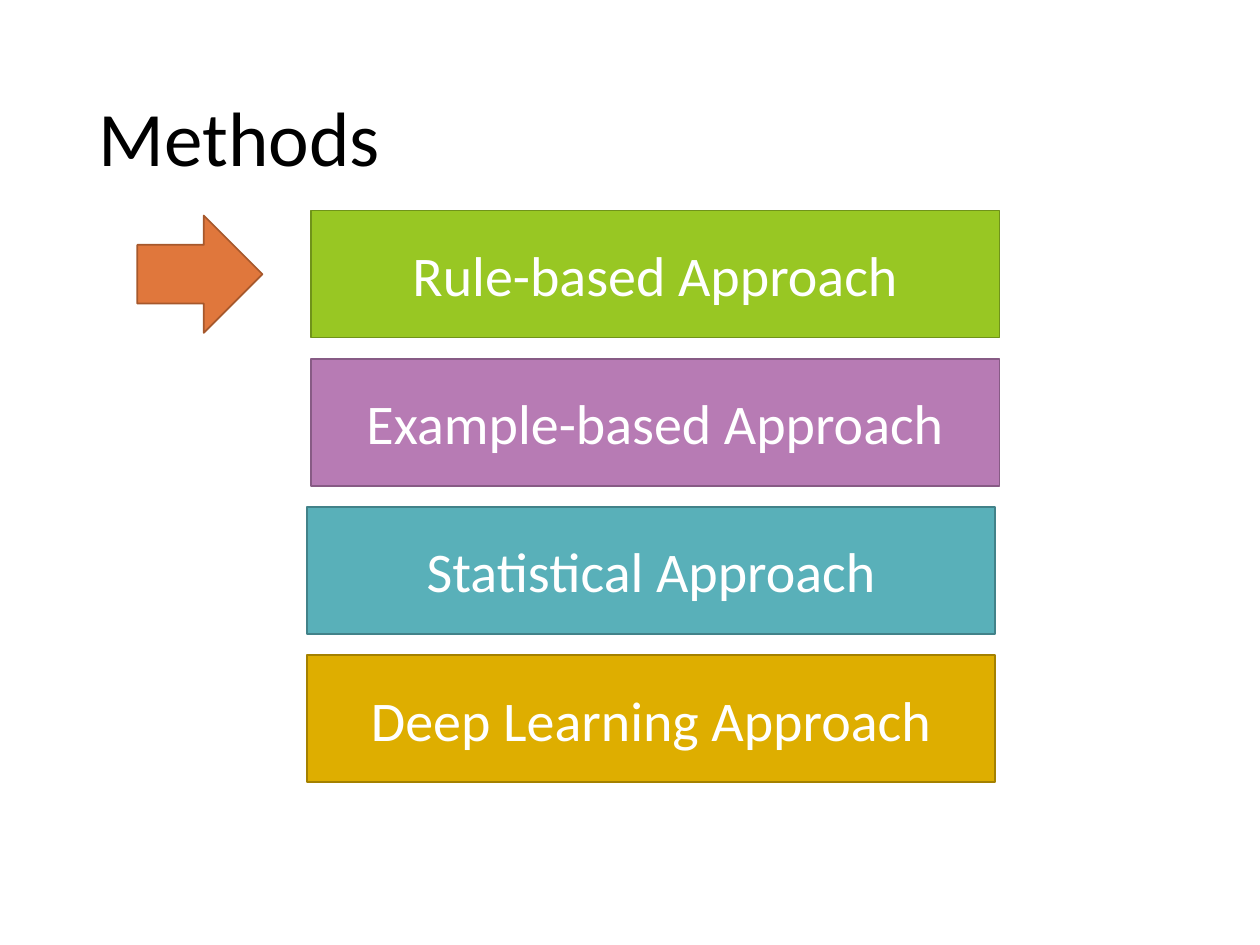
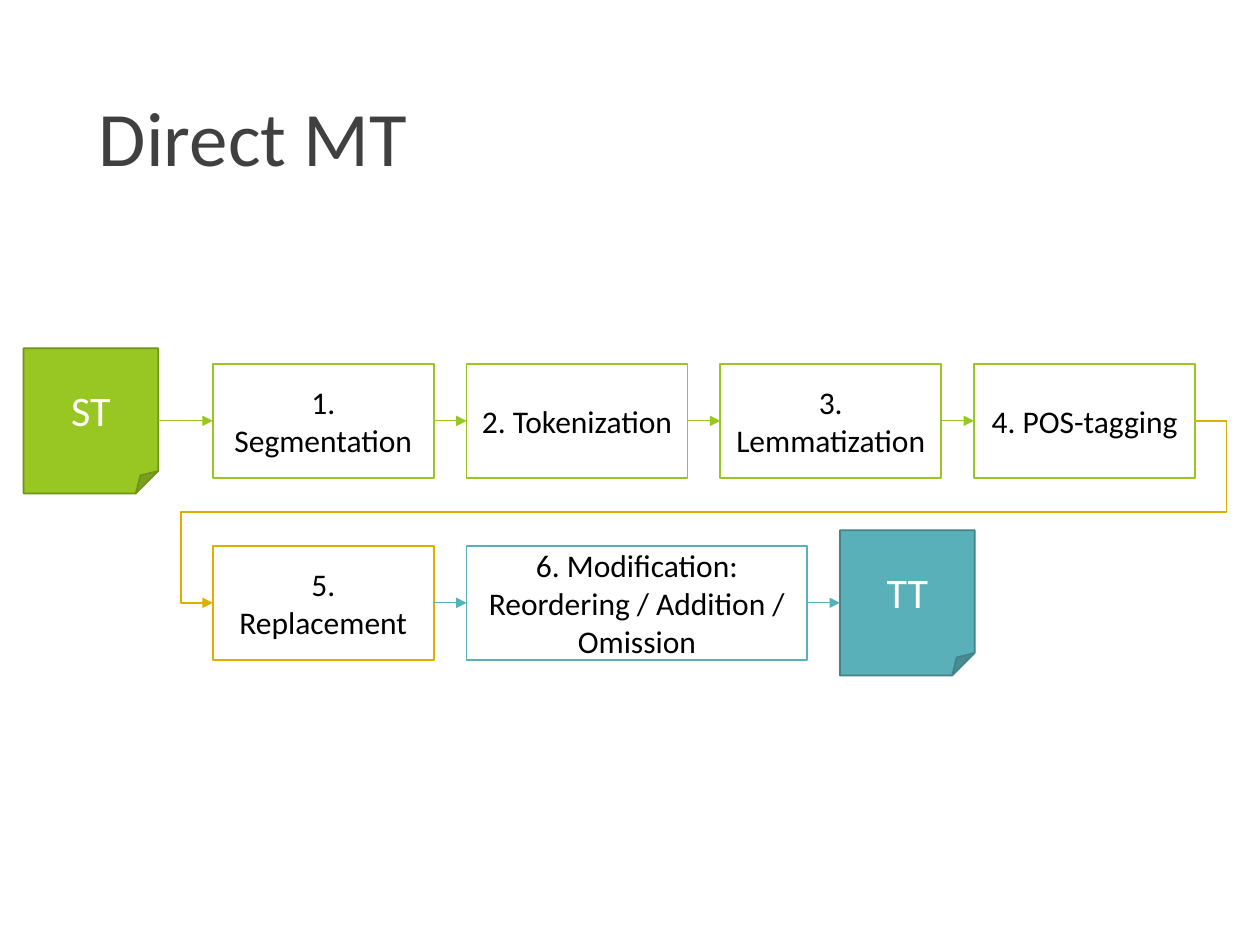
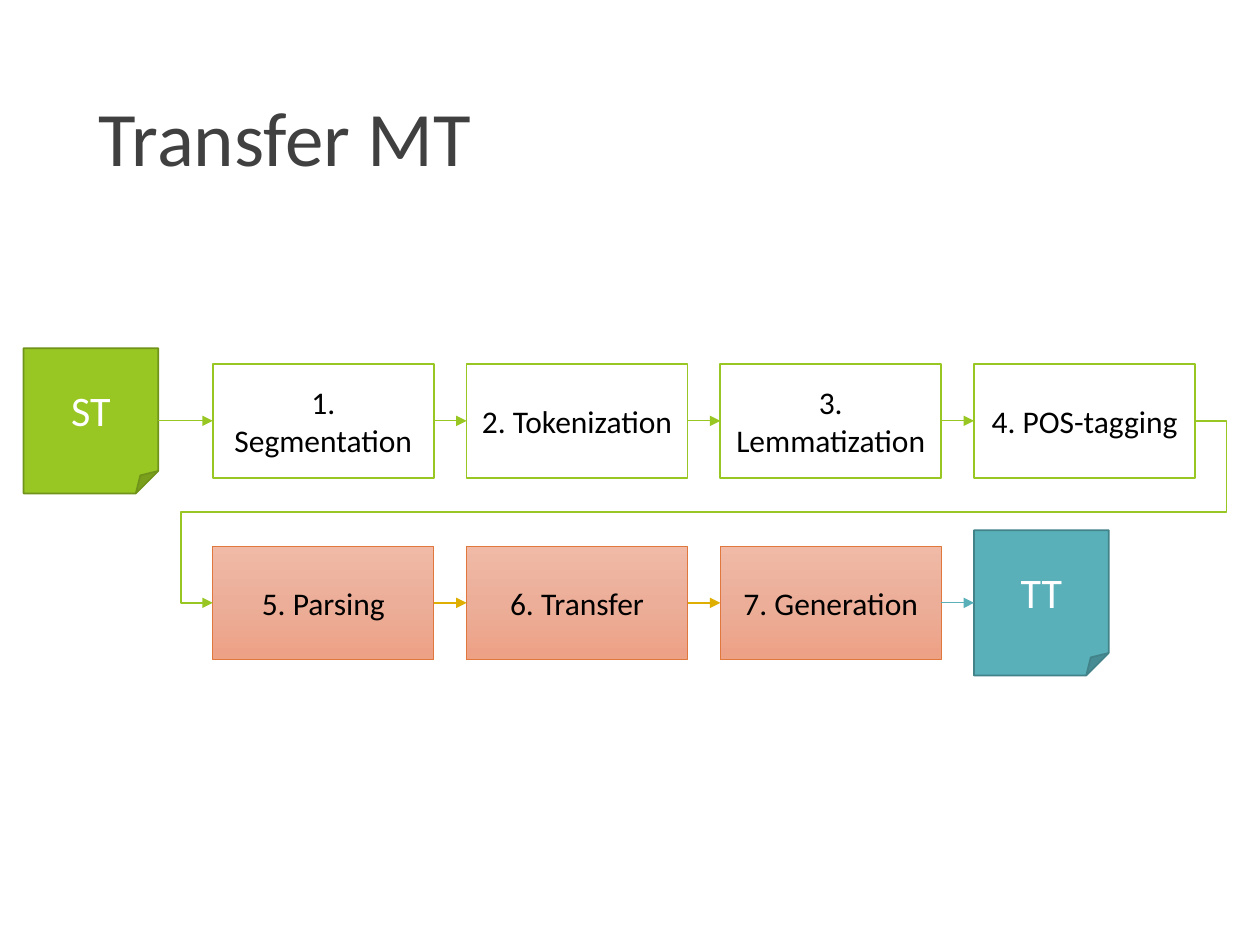
from copy import deepcopy

from lxml import etree
from pptx import Presentation
from pptx.dml.color import RGBColor
from pptx.enum.shapes import MSO_CONNECTOR, MSO_SHAPE
from pptx.enum.text import MSO_ANCHOR, PP_ALIGN
from pptx.oxml.ns import qn
from pptx.util import Pt

RECT = MSO_SHAPE.RECTANGLE
FOLDED = MSO_SHAPE.FOLDED_CORNER
ARROW = MSO_SHAPE.RIGHT_ARROW
STRAIGHT = MSO_CONNECTOR.STRAIGHT
ELBOW = MSO_CONNECTOR.ELBOW
CENTER = PP_ALIGN.CENTER
MIDDLE = MSO_ANCHOR.MIDDLE

WHITE = RGBColor(0xFF, 0xFF, 0xFF)
BLACK = RGBColor(0x00, 0x00, 0x00)
GRAY = RGBColor(0x40, 0x40, 0x40)
GREEN = RGBColor(0x98, 0xC7, 0x23)
DARK_GREEN = RGBColor(0x70, 0x93, 0x1A)
PURPLE = RGBColor(0xB7, 0x7B, 0xB4)
DARK_PURPLE = RGBColor(0x87, 0x5B, 0x85)
TEAL = RGBColor(0x59, 0xB0, 0xB9)
DARK_TEAL = RGBColor(0x42, 0x82, 0x89)
GOLD = RGBColor(0xDE, 0xAE, 0x00)
DARK_GOLD = RGBColor(0xA4, 0x81, 0x00)
ORANGE = RGBColor(0xE0, 0x77, 0x3C)
DARK_ORANGE = RGBColor(0xA6, 0x58, 0x2C)
SALMON = [RGBColor(0xF0, 0xBA, 0xA7), RGBColor(0xEC, 0xAE, 0x99), RGBColor(0xED, 0xA1, 0x85)]

FONT = "Calibri"
LEFT_SITE, RIGHT_SITE = 1, 3
STEP_LEFT, STEP_W, STEP_H, GAP = 121.6, 126.3, 65, 18.7
WIDE_W = 194.7
NOTE_LEFT, NOTE_W, NOTE_H = 13.5, 77, 83
ROW_1, ROW_2 = 240.5, 344.5


def add_box(s, kind, x, y, w, h, fill, line, text="", size=18, color=WHITE):
    sp = s.shapes.add_shape(kind, Pt(x), Pt(y), Pt(w), Pt(h))
    sp.shadow.inherit = False
    if isinstance(fill, list):
        sp.fill.gradient()
        sp.fill.gradient_angle = 270
        first = sp._element.spPr.find(qn("a:gradFill")).find(qn("a:gsLst"))[0]
        first.addnext(deepcopy(first))
        for stop, pos, rgb in zip(sp.fill.gradient_stops, (0, 0.5, 1), fill):
            stop.position = pos
            stop.color.rgb = rgb
    else:
        sp.fill.solid()
        sp.fill.fore_color.rgb = fill
    sp.line.color.rgb = line
    sp.line.width = Pt(0.5 if isinstance(fill, list) else 1)
    if text:
        tf = sp.text_frame
        tf.text = text
        tf.word_wrap = True
        tf.vertical_anchor = MIDDLE
        for p in tf.paragraphs:
            p.alignment = CENTER
            for r in p.runs:
                r.font.name = FONT
                r.font.size = Pt(size)
                r.font.color.rgb = color
    return sp


def add_link(s, kind, start, end, color, width):
    cx = s.shapes.add_connector(kind, 0, 0, 0, 0)
    cx.begin_connect(start, RIGHT_SITE)
    cx.end_connect(end, LEFT_SITE)
    cx.line.color.rgb = color
    cx.line.width = Pt(width)
    etree.SubElement(cx.line._get_or_add_ln(), qn("a:tailEnd"), type="triangle")
    etree.SubElement(cx._element.spPr, qn("a:effectLst"))
    return cx


prs = Presentation()
prs.slide_width = Pt(720)
prs.slide_height = Pt(540)

slides = []
for title, color in [("Methods", BLACK), ("Direct MT", GRAY), ("Transfer MT", GRAY)]:
    s = prs.slides.add_slide(prs.slide_layouts[6])
    tf = s.shapes.add_textbox(Pt(49.5), Pt(28.75), Pt(621), Pt(104.4)).text_frame
    tf.word_wrap = True
    tf.vertical_anchor = MIDDLE
    tf.text = title
    p = tf.paragraphs[0]
    p.line_spacing = 0.9
    r = p.runs[0]
    r.font.name = FONT
    r.font.size = Pt(44)
    r.font.color.rgb = color
    slides.append(s)

methods = [
    ("Rule-based Approach", 177.8, GREEN, DARK_GREEN),
    ("Example-based Approach", 177.8, PURPLE, DARK_PURPLE),
    ("Statistical Approach", 175.5, TEAL, DARK_TEAL),
    ("Deep Learning Approach", 175.5, GOLD, DARK_GOLD),
]
for i, (text, x, fill, line) in enumerate(methods):
    add_box(slides[0], RECT, x, 120.4 + 84.7 * i, 393.3, 72.5, fill, line, text, 32)
add_box(slides[0], ARROW, 78.5, 123.2, 71.5, 67, ORANGE, DARK_ORANGE)

analysis = ["1. Segmentation", "2. Tokenization", "3. Lemmatization", "4. POS-tagging"]
direct = [
    ("5. Replacement", STEP_W, WHITE, GOLD),
    ("6. Modification: Reordering / Addition /\nOmission", WIDE_W, WHITE, TEAL),
]
transfer = [(text, STEP_W, SALMON, ORANGE) for text in ("5. Parsing", "6. Transfer", "7. Generation")]
flows = [
    (slides[1], direct, GOLD, TEAL, 0.5),
    (slides[2], transfer, GREEN, GOLD, 1),
]

for s, second_row, turn_color, link_color, link_width in flows:
    source = add_box(s, FOLDED, NOTE_LEFT, ROW_1 - NOTE_H / 2, NOTE_W, NOTE_H, GREEN, DARK_GREEN, "ST", 24)
    top = [source]
    for i, text in enumerate(analysis):
        x = STEP_LEFT + i * (STEP_W + GAP)
        top.append(add_box(s, RECT, x, ROW_1 - STEP_H / 2, STEP_W, STEP_H, WHITE, GREEN, text, color=BLACK))
    bottom = []
    x = STEP_LEFT
    for text, w, fill, line in second_row:
        bottom.append(add_box(s, RECT, x, ROW_2 - STEP_H / 2, w, STEP_H, fill, line, text, color=BLACK))
        x += w + GAP
    target = add_box(s, FOLDED, x, ROW_2 - NOTE_H / 2, NOTE_W, NOTE_H, TEAL, DARK_TEAL, "TT", 24)

    for start, end in zip(top, top[1:]):
        add_link(s, STRAIGHT, start, end, GREEN, 0.5)
    turn = add_link(s, ELBOW, top[-1], bottom[0], turn_color, 1)
    geom = turn._element.spPr.find(qn("a:prstGeom"))
    geom.set("prst", "bentConnector5")
    guides = geom.find(qn("a:avLst"))
    for i, value in enumerate((-3200, 50000, 103200), 1):
        etree.SubElement(guides, qn("a:gd"), name=f"adj{i}", fmla=f"val {value}")
    for start, end in zip(bottom, bottom[1:]):
        add_link(s, STRAIGHT, start, end, link_color, link_width)
    add_link(s, STRAIGHT, bottom[-1], target, TEAL, 0.5)

prs.save("out.pptx")
